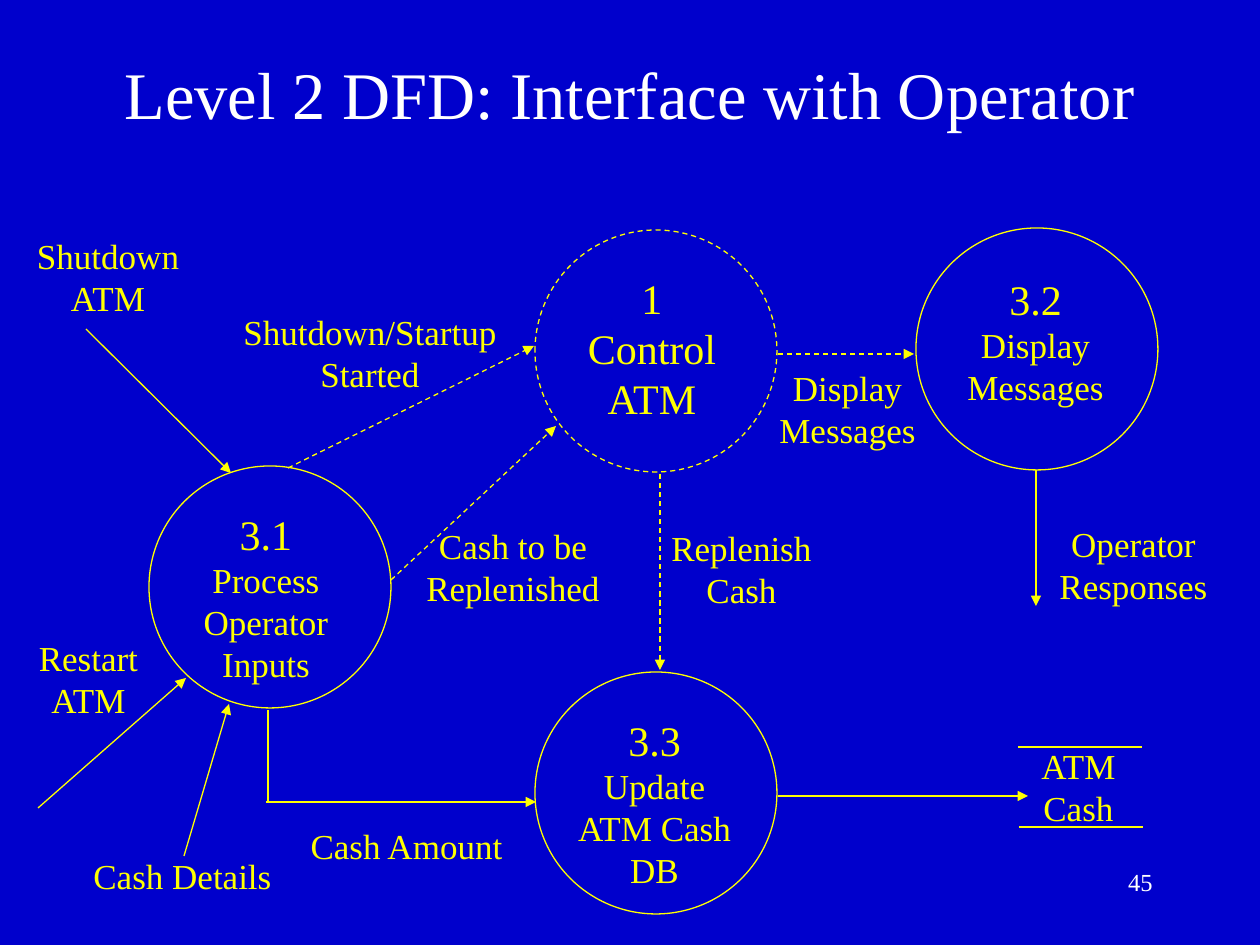
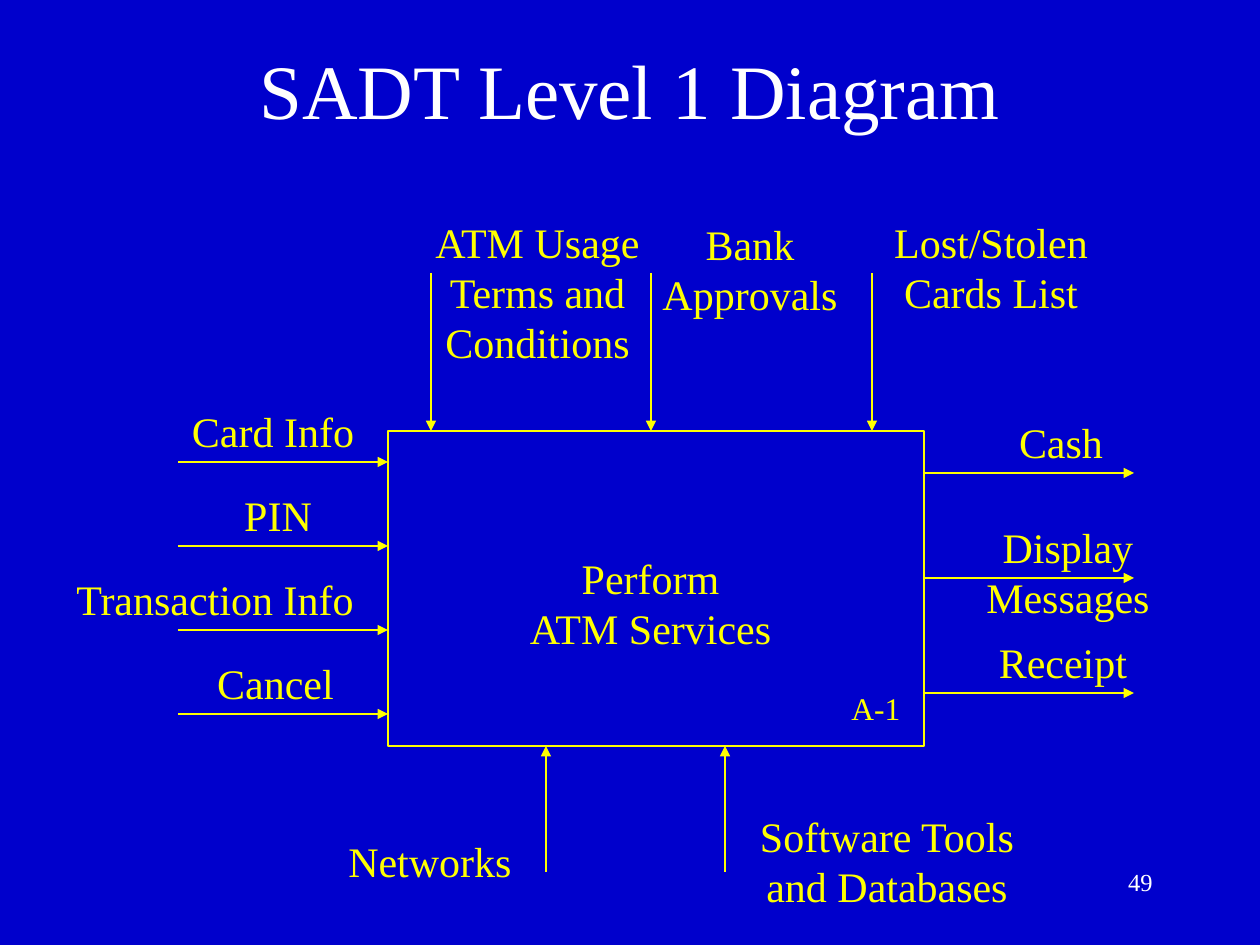
import pptx
import pptx.dml.color
import pptx.enum.dml
import pptx.enum.shapes
import pptx.enum.text
import pptx.oxml
import pptx.oxml.ns
import pptx.util

SCALE = 914400 / 126  # EMU in one px
COLORS = {"background": "0000CC", "title": "FFFFFF", "diagram": "FFFF00"}
FONT = "Times New Roman"
LINE_WIDTH = pptx.util.Pt(0.75)
DASH = pptx.enum.dml.MSO_LINE.DASH
SHAPES = pptx.enum.shapes.MSO_SHAPE
ALIGN = pptx.enum.text.PP_ALIGN
TITLE_ONLY = 5
BUBBLE = 242
LABEL_RISE = 63  # from the top of a flow's label down to its arrow
SLACK = 6  # spare room on each side of a label, so that no line breaks


def emu(*lengths):
    return [pptx.util.Emu(round(length * SCALE)) for length in lengths]


def rgb(name):
    return pptx.dml.color.RGBColor.from_string(COLORS[name])


def style_paragraph(paragraph, size, color, align=ALIGN.CENTER):
    paragraph.alignment = align
    paragraph.font.name = FONT
    paragraph.font.size = pptx.util.Pt(size)
    paragraph.font.color.rgb = rgb(color)


def style_line(line, dashed):
    line.color.rgb = rgb("diagram")
    line.width = LINE_WIDTH
    if dashed:
        line.dash_style = DASH


def add_slide(prs, title, title_top, title_size, number):
    """Add a slide with its title and the page number at the foot."""
    slide = prs.slides.add_slide(prs.slide_layouts[TITLE_ONLY])
    heading = slide.shapes.title
    heading.left, heading.top, heading.width, heading.height = emu(94, title_top, 1072, 158)
    heading.text_frame.text = title
    heading.text_frame.auto_size = pptx.enum.text.MSO_AUTO_SIZE.NONE
    heading.text_frame.vertical_anchor = pptx.enum.text.MSO_ANCHOR.MIDDLE
    style_paragraph(heading.text_frame.paragraphs[0], title_size, "title")

    page = slide.shapes.add_textbox(*emu(903, 861, 262, 63)).text_frame
    page.word_wrap = True
    page.text = str(number)
    style_paragraph(page.paragraphs[0], 14, "title", ALIGN.RIGHT)
    return slide


def add_label(slide, text, left, top, width, size, first_size=None):
    """Add centred lines of text; first_size sets the first line apart."""
    lines = text.split("\n")
    sizes = [first_size or size] + [size] * (len(lines) - 1)
    height = 13 + sum(sizes) * 2.1
    box = emu(left - SLACK, top, width + 2 * SLACK, height)
    frame = slide.shapes.add_textbox(*box).text_frame
    frame.word_wrap = False
    frame.auto_size = pptx.enum.text.MSO_AUTO_SIZE.SHAPE_TO_FIT_TEXT
    frame.text = text
    for paragraph, line_size in zip(frame.paragraphs, sizes):
        style_paragraph(paragraph, line_size, "diagram")


def add_outline(slide, preset, left, top, width, height, dashed=False):
    outline = slide.shapes.add_shape(preset, *emu(left, top, width, height))
    outline.shadow.inherit = False
    outline.fill.background()
    style_line(outline.line, dashed)


def add_flow(slide, x1, y1, x2, y2, dashed=False, arrow=True):
    flow = slide.shapes.add_connector(
        pptx.enum.shapes.MSO_CONNECTOR.STRAIGHT, *emu(x1, y1, x2, y2))
    style_line(flow.line, dashed)
    if arrow:
        head = pptx.oxml.parse_xml(
            f'<a:tailEnd {pptx.oxml.ns.nsdecls("a")} type="triangle"/>')
        flow.line._get_or_add_ln().append(head)
    effects = pptx.oxml.parse_xml(f'<a:effectLst {pptx.oxml.ns.nsdecls("a")}/>')
    flow._element.spPr.append(effects)


def build_operator_dfd(prs):
    slide = add_slide(prs, "Level 2 DFD: Interface with Operator", 14, 38, 45)

    processes = [  # circle left, top; text, left, top, width, size; dashed
        (535, 672, "3.3\nUpdate\nATM Cash\nDB", 564, 708, 181, 20, False),
        (535, 230, "1\nControl\nATM", 575, 266, 154, 24, True),
        (149, 466, "3.1\nProcess\nOperator\nInputs", 191, 502, 150, 20, False),
        (916, 228, "3.2\nDisplay\nMessages", 955, 267, 161, 20, False),
    ]
    for left, top, text, text_left, text_top, width, size, dashed in processes:
        add_outline(slide, SHAPES.OVAL, left, top, BUBBLE, BUBBLE, dashed)
        add_label(slide, text, text_left, text_top, width, size, first_size=24)

    data_flows = [
        (86, 329, 231, 473),     # Shutdown ATM
        (38, 808, 186, 678),     # Restart ATM
        (184, 856, 229, 704),    # Cash Details
        (266, 802, 536, 802),    # Cash Amount
        (1036, 470, 1036, 606),  # Operator Responses
        (778, 796, 1028, 796),   # into ATM Cash
    ]
    control_flows = [
        (288, 468, 534, 346),    # Shutdown/Startup Started
        (391, 580, 556, 426),    # Cash to be Replenished
        (778, 354, 914, 354),    # Display Messages
        (660, 474, 660, 670),    # Replenish Cash
    ]
    plain_lines = [
        (268, 710, 268, 802),    # Cash Amount, upright part
        (1018, 747, 1142, 747),  # ATM Cash store, top
        (1019, 827, 1143, 827),  # ATM Cash store, bottom
    ]
    for ends in data_flows:
        add_flow(slide, *ends)
    for ends in control_flows:
        add_flow(slide, *ends, dashed=True)
    for ends in plain_lines:
        add_flow(slide, *ends, arrow=False)

    labels = [
        ("ATM\nCash", 1027, 738, 103),
        ("Shutdown\nATM", 24, 228, 168),
        ("Restart\nATM", 26, 630, 125),
        ("Operator\nResponses", 1047, 516, 173),
        ("Display\nMessages", 767, 360, 161),
        ("Cash Amount", 297, 818, 219),
        ("Shutdown/Startup\nStarted", 231, 304, 278),
        ("Cash to be\nReplenished", 414, 518, 198),
        ("Replenish\nCash", 659, 520, 165),
        ("Cash Details", 81, 848, 203),
    ]
    for label in labels:
        add_label(slide, *label, size=20)


def build_sadt(prs):
    slide = add_slide(prs, "SADT Level 1 Diagram", 10, 44, 49)

    left, top, width, height = 388, 431, 536, 315
    right, bottom = left + width, top + height
    add_outline(slide, SHAPES.RECTANGLE, left, top, width, height)
    add_label(slide, "Perform\nATM Services", 515, 546, 271, 24)
    add_label(slide, "A-1", 839, 683, 74, 18)

    inputs = [
        ("Card Info", 180, 186),
        ("PIN", 232, 92),
        ("Transaction Info", 63, 304),
        ("Cancel", 205, 141),
    ]
    for row, (text, label_left, label_width) in enumerate(inputs):
        y = 462 + 84 * row
        add_flow(slide, left - 210, y, left, y)
        add_label(slide, text, label_left, y - LABEL_RISE, label_width, 24)

    outputs = [
        ("Cash", 473, 1007, 108),
        ("Display\nMessages", 578, 974, 188),
        ("Receipt", 693, 986, 154),
    ]
    for text, y, label_left, label_width in outputs:
        add_flow(slide, right, y, right + 210, y)
        add_label(slide, text, label_left, y - LABEL_RISE, label_width, 24)

    controls = [
        ("ATM Usage\nTerms and\nConditions", 431, 421, 210, 233),
        ("Bank\nApprovals", 651, 650, 212, 200),
        ("Lost/Stolen\nCards List", 872, 882, 210, 218),
    ]
    for text, x, *place in controls:
        add_flow(slide, x, top - 158, x, top)
        add_label(slide, text, *place, 24)

    mechanisms = [
        ("Networks", 546, 336, 829, 188),
        ("Software Tools\nand Databases", 725, 746, 804, 282),
    ]
    for text, x, *place in mechanisms:
        add_flow(slide, x, bottom + 126, x, bottom)
        add_label(slide, text, *place, 24)


def main():
    prs = pptx.Presentation()
    prs.slide_width, prs.slide_height = emu(1260, 945)
    background = prs.slide_master.background.fill
    background.solid()
    background.fore_color.rgb = rgb("background")
    build_operator_dfd(prs)
    build_sadt(prs)
    prs.save("out.pptx")


if __name__ == "__main__":
    main()
